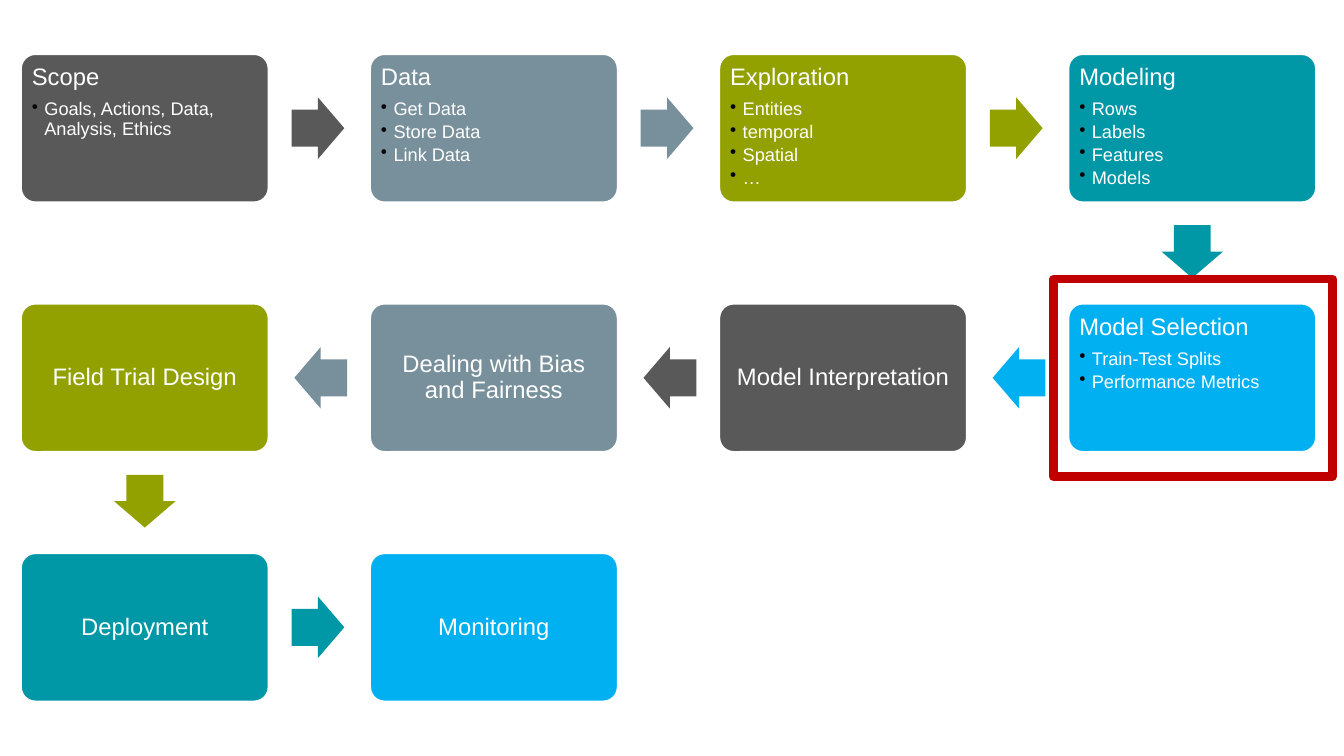
import pptx
import pptx.util
import pptx.dml.color
import pptx.enum.shapes
import pptx.enum.text
import pptx.oxml
import pptx.oxml.ns
from dataclasses import dataclass
from lxml import etree

Pt = pptx.util.Pt
Shapes = pptx.enum.shapes.MSO_SHAPE
Align = pptx.enum.text.PP_ALIGN
Anchor = pptx.enum.text.MSO_ANCHOR
qn = pptx.oxml.ns.qn


@dataclass(frozen=True)
class Theme:
    """Colours, font and type sizes of the slide."""
    gray: str = "595959"
    slate: str = "78909C"
    olive: str = "92A000"
    teal: str = "0097A7"
    blue: str = "00B0F0"
    red: str = "C00000"
    white: str = "FFFFFF"
    black: str = "000000"
    font: str = "Arial"
    title_size: int = 17
    bullet_size: int = 13


theme = Theme()

BOX_WIDTH, BOX_HEIGHT = 177.6, 106.6
GRID_LEFT, GRID_TOP = 14.6, 38.3
COLUMN_STEP, ROW_STEP = 249.4, 178.25
ARROW_LENGTH, ARROW_WIDTH = 37.7, 44
ARROW_SETBACK = 1
INSET = 5
BULLET_INDENT = 9

# Column, row, colour, title, bullets, in the order of the workflow
steps = [
    (0, 0, theme.gray, "Scope", ["Goals, Actions, Data, Analysis, Ethics"]),
    (1, 0, theme.slate, "Data", ["Get Data", "Store Data", "Link Data"]),
    (2, 0, theme.olive, "Exploration", ["Entities", "temporal", "Spatial", "…"]),
    (3, 0, theme.teal, "Modeling", ["Rows", "Labels", "Features", "Models"]),
    (3, 1, theme.blue, "Model Selection", ["Train-Test Splits", "Performance Metrics"]),
    (2, 1, theme.gray, "Model Interpretation", []),
    (1, 1, theme.slate, "Dealing with Bias and Fairness", []),
    (0, 1, theme.olive, "Field Trial Design", []),
    (0, 2, theme.teal, "Deployment", []),
    (1, 2, theme.blue, "Monitoring", []),
]
rotations = {(1, 0): 0, (0, 1): 90, (-1, 0): 180}

presentation = pptx.Presentation()
presentation.slide_width, presentation.slide_height = Pt(960), Pt(540)
slide = presentation.slides.add_slide(presentation.slide_layouts[6])


def add_preset(kind, left, top, width, height, fill=None, line=None, line_width=0):
    """Add a preset shape without shadow; no fill or line unless given."""
    shape = slide.shapes.add_shape(kind, Pt(left), Pt(top), Pt(width), Pt(height))
    shape.shadow.inherit = False
    if fill:
        shape.fill.solid()
        shape.fill.fore_color.rgb = pptx.dml.color.RGBColor.from_string(fill)
    else:
        shape.fill.background()
    if line:
        shape.line.color.rgb = pptx.dml.color.RGBColor.from_string(line)
        shape.line.width = Pt(line_width)
    else:
        shape.line.fill.background()
    return shape


def write_paragraph(paragraph, text, size, space_after, alignment):
    """Format a paragraph and add its text as one white run."""
    paragraph.alignment = alignment
    paragraph.line_spacing = 0.9
    paragraph.space_after = Pt(space_after)
    run = paragraph.add_run()
    run.text = text
    run.font.name = theme.font
    run.font.size = Pt(size)
    run.font.color.rgb = pptx.dml.color.RGBColor.from_string(theme.white)


for index, (column, row, color, title, bullets) in enumerate(steps):
    left = GRID_LEFT + column * COLUMN_STEP
    top = GRID_TOP + row * ROW_STEP
    box = add_preset(Shapes.ROUNDED_RECTANGLE, left, top, BOX_WIDTH, BOX_HEIGHT,
                     color, theme.white, 2)
    box.adjustments[0] = 0.1

    frame = box.text_frame
    frame.word_wrap = True
    frame.margin_left = frame.margin_right = Pt(INSET)
    frame.margin_top = frame.margin_bottom = Pt(INSET)
    frame.vertical_anchor = Anchor.TOP if bullets else Anchor.MIDDLE
    write_paragraph(frame.paragraphs[0], title, theme.title_size, 6.8,
                    Align.LEFT if bullets else Align.CENTER)
    for bullet in bullets:
        paragraph = frame.add_paragraph()
        paragraph.level = 1
        write_paragraph(paragraph, bullet, theme.bullet_size, 2.25, Align.LEFT)
        properties = paragraph._p.get_or_add_pPr()
        properties.set("marL", str(Pt(BULLET_INDENT)))
        properties.set("indent", str(-Pt(BULLET_INDENT)))
        bullet_color = etree.SubElement(properties, qn("a:buClr"))
        etree.SubElement(bullet_color, qn("a:srgbClr"), val=theme.black)
        etree.SubElement(properties, qn("a:buChar"), char="•")

    if index + 1 < len(steps):
        next_column, next_row = steps[index + 1][:2]
        across, down = next_column - column, next_row - row
        center_x = left + BOX_WIDTH / 2 + across * (COLUMN_STEP / 2 - ARROW_SETBACK)
        center_y = top + BOX_HEIGHT / 2 + down * (ROW_STEP / 2 - ARROW_SETBACK)
        arrow = add_preset(Shapes.RIGHT_ARROW, center_x - ARROW_LENGTH / 2,
                           center_y - ARROW_WIDTH / 2, ARROW_LENGTH, ARROW_WIDTH, color)
        arrow.adjustments[0] = 0.6
        arrow.adjustments[1] = 0.5
        arrow.rotation = rotations[across, down]

highlight = add_preset(Shapes.RECTANGLE, 752.4, 199.5, 199.5, 141, None, theme.red, 6)
etree.SubElement(highlight._element.spPr.find(qn("a:ln")), qn("a:round"))

presentation.save("out.pptx")
